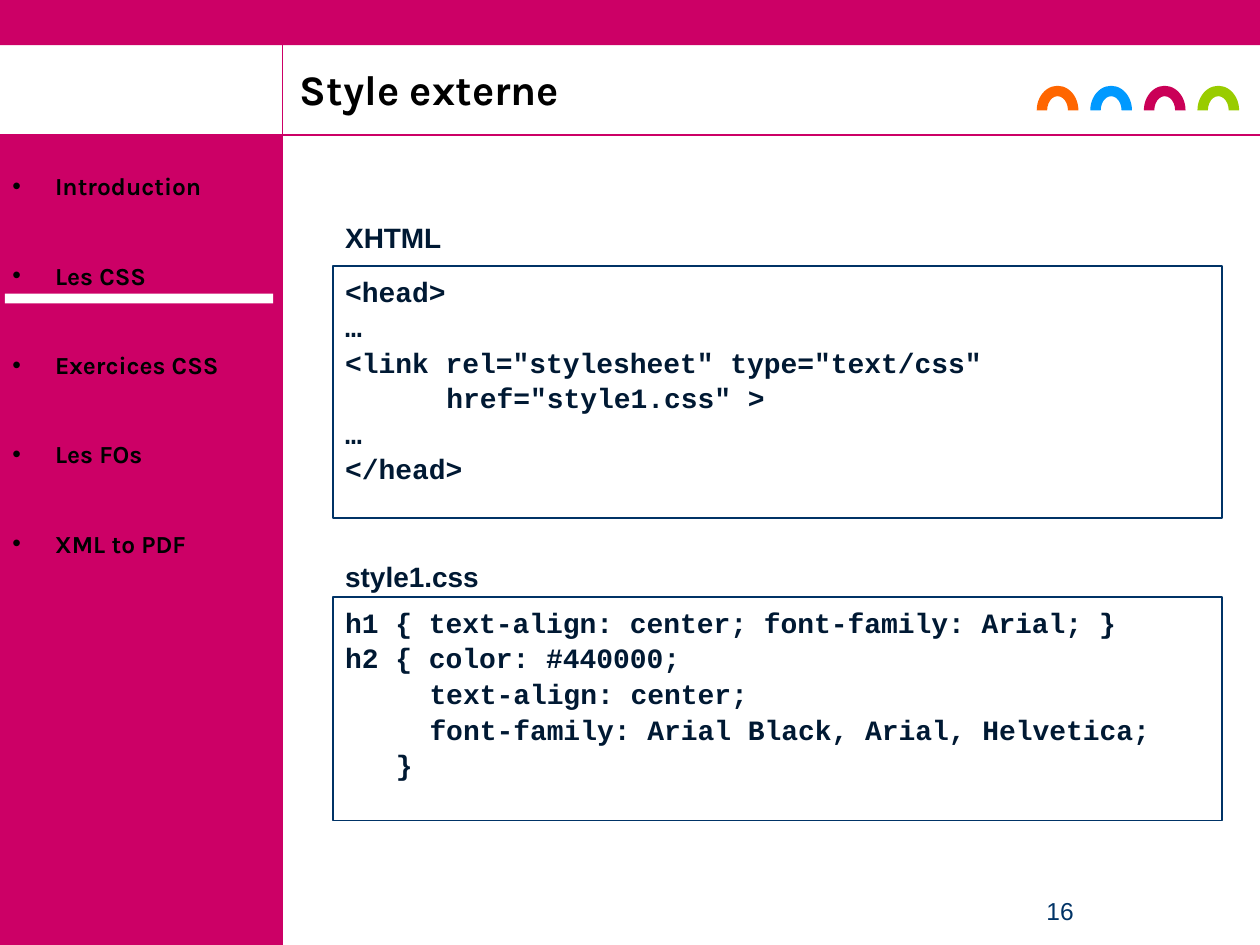
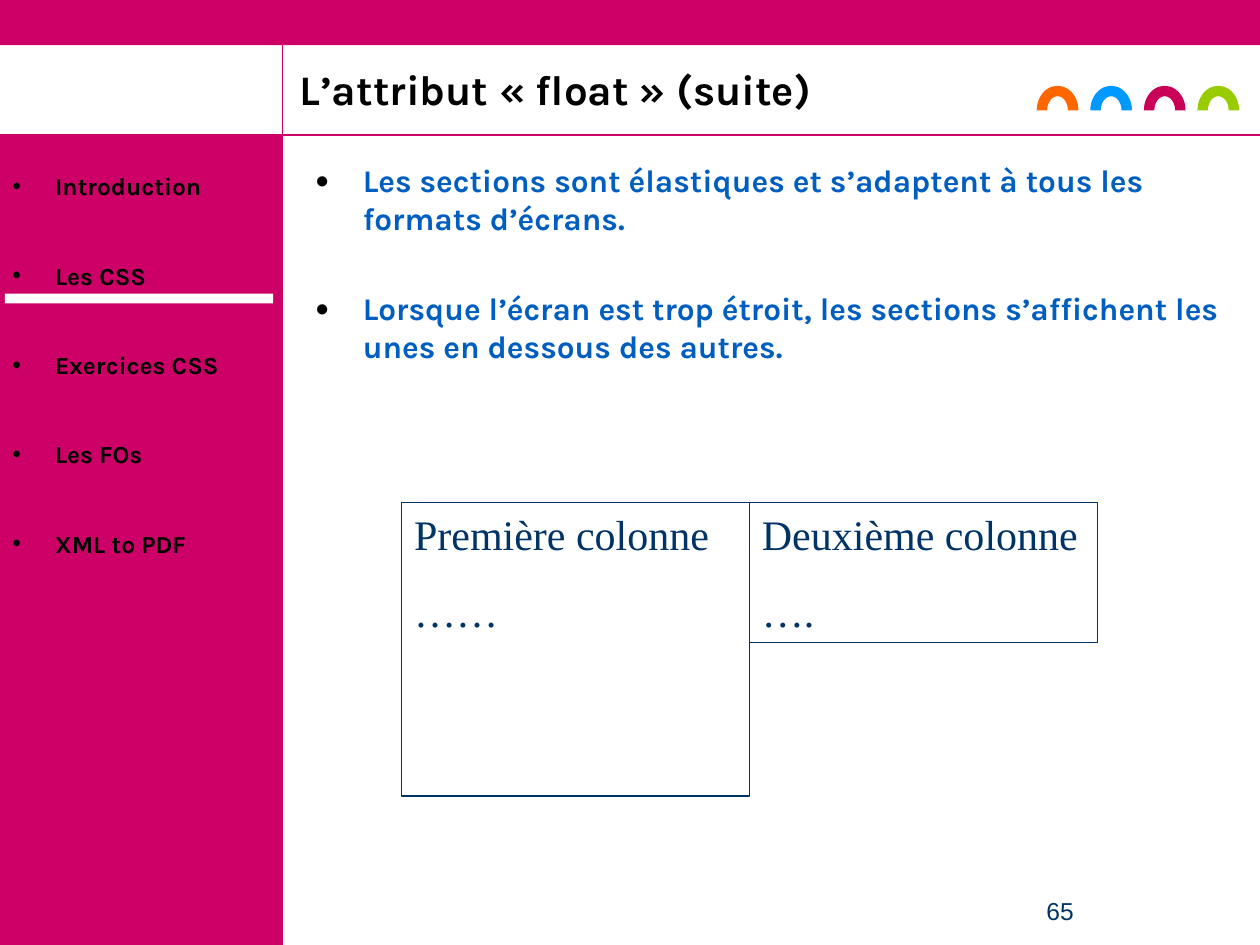
"""Build two course slides on CSS with a shared magenta frame."""
from lxml.etree import SubElement
from pptx import Presentation
from pptx.dml.color import RGBColor
from pptx.enum.shapes import MSO_CONNECTOR, MSO_SHAPE
from pptx.enum.text import MSO_ANCHOR, MSO_AUTO_SIZE, PP_ALIGN
from pptx.oxml.ns import qn
from pptx.util import Cm, Pt

MAGENTA, NAVY, DARK_NAVY = "CC0066", "003366", "001933"
BLUE, BLACK, WHITE = "005EC0", "000000", "FFFFFF"
ARCH_COLORS = ["FF6600", "0099FF", "CA0057", "99CC00"]
CHAPTERS = ["Introduction", "Les CSS", "Exercices CSS", "Les FOs", "XML to PDF"]
TITLE_ONLY, TITLE_AND_BODY = 5, 1
SIDEBAR_WIDTH, HEADER_BOTTOM = 5.69, 2.72
PAGE_WIDTH, PAGE_HEIGHT = 25.4, 19.05
CODE_LEFT, CODE_WIDTH = 6.71, 17.93
CODE_CHARACTER = 0.34
COLUMN_LEFT, COLUMN_TOP, COLUMN_WIDTH = 8.1, 10.13, 7.01


def color(value):
    return RGBColor.from_string(value)


class Deck:
    def __init__(self):
        self.presentation = Presentation()
        self.presentation.slide_width = Cm(PAGE_WIDTH)
        self.presentation.slide_height = Cm(PAGE_HEIGHT)
        self.slide = None

    def start_slide(self, layout, title, number):
        self.slide = self.presentation.slides.add_slide(
            self.presentation.slide_layouts[layout])
        self.frame()
        self.menu()
        self.title(title)
        frame = self.label(str(number), 19.91, 17.93, 2.92, 1.12, 14, NAVY, False)
        frame.paragraphs[0].alignment = PP_ALIGN.CENTER

    def frame(self):
        self.shape(0, HEADER_BOTTOM, SIDEBAR_WIDTH, PAGE_HEIGHT - HEADER_BOTTOM, MAGENTA)
        self.shape(0, 0, PAGE_WIDTH, 0.91, MAGENTA)
        self.line(0, HEADER_BOTTOM, PAGE_WIDTH, HEADER_BOTTOM)
        self.line(SIDEBAR_WIDTH, PAGE_HEIGHT, SIDEBAR_WIDTH, 0)
        for index, fill in enumerate(ARCH_COLORS):
            self.shape(20.9 + index * 1.08, 1.73, 0.84, 0.99, fill,
                       kind=MSO_SHAPE.BLOCK_ARC)

    def menu(self):
        frame = self.text_box(0, 3.33, 5.89, 9.3)
        self.add_lines(frame, CHAPTERS, 14, "Karla", BLACK, True, gap=34.2)
        for paragraph in frame.paragraphs:
            self.bullet(paragraph, "•", 0.86)

    def title(self, text):
        title = self.slide.shapes.title
        self.place(title, 5.79, 1.22, 18.62, 1.22)
        frame = title.text_frame
        self.prepare(frame, MSO_ANCHOR.BOTTOM)
        self.add_lines(frame, [text], 24, "Karla", BLACK, True)
        frame.paragraphs[0].line_spacing = 0.9

    def body(self, lines):
        body = self.slide.placeholders[1]
        self.place(body, 6.1, 3.12, 18.8, 15.93)
        self.prepare(body.text_frame)
        self.add_lines(body.text_frame, lines, 18, "Karla", BLUE, True, gap=30)
        for paragraph in body.text_frame.paragraphs:
            self.bullet(paragraph, "●", 0.96, 75)

    def label(self, text, left, top, width, height, size, ink, bold):
        frame = self.text_box(left, top, width, height)
        self.add_lines(frame, [text], size, "Arial", ink, bold)
        return frame

    def code(self, caption, caption_top, top, height, lines):
        shape = self.shape(CODE_LEFT, top, CODE_WIDTH, height, outline=NAVY, weight=1)
        self.add_lines(shape.text_frame, [text for _, text in lines], 16,
                       "Courier New", DARK_NAVY, True)
        for paragraph, (indent, _) in zip(shape.text_frame.paragraphs, lines):
            paragraph.line_spacing = 1.06
            paragraph._p.get_or_add_pPr().set("marL", str(Cm(indent * CODE_CHARACTER)))
        self.label(caption, CODE_LEFT, caption_top, 3.84, 0.94, 16, DARK_NAVY, True)

    def column(self, index, height, lines):
        shape = self.shape(COLUMN_LEFT + index * COLUMN_WIDTH, COLUMN_TOP,
                           COLUMN_WIDTH, height, outline=NAVY, weight=0.75)
        self.add_lines(shape.text_frame, lines, 24, "Times New Roman", NAVY, gap=15)

    def chapter_marker(self):
        self.shape(0.1, 5.92, 5.41, 0.2, WHITE)

    def shape(self, left, top, width, height, fill=None, outline=None, weight=1,
              kind=MSO_SHAPE.RECTANGLE):
        shape = self.slide.shapes.add_shape(kind, Cm(left), Cm(top), Cm(width), Cm(height))
        shape.shadow.inherit = False
        if fill:
            shape.fill.solid()
            shape.fill.fore_color.rgb = color(fill)
        else:
            shape.fill.background()
        if outline:
            shape.line.color.rgb = color(outline)
            shape.line.width = Pt(weight)
        else:
            shape.line.fill.background()
        self.prepare(shape.text_frame)
        return shape

    def line(self, start_x, start_y, end_x, end_y):
        connector = self.slide.shapes.add_connector(
            MSO_CONNECTOR.STRAIGHT, Cm(start_x), Cm(start_y), Cm(end_x), Cm(end_y))
        connector.line.color.rgb = color(MAGENTA)
        connector.line.width = Pt(0.75)
        SubElement(connector._element.spPr, qn("a:effectLst"))

    def text_box(self, left, top, width, height):
        box = self.slide.shapes.add_textbox(Cm(left), Cm(top), Cm(width), Cm(height))
        self.prepare(box.text_frame)
        return box.text_frame

    def place(self, shape, left, top, width, height):
        shape.left, shape.top = Cm(left), Cm(top)
        shape.width, shape.height = Cm(width), Cm(height)

    def prepare(self, frame, anchor=MSO_ANCHOR.TOP):
        frame.word_wrap = True
        frame.auto_size = MSO_AUTO_SIZE.NONE
        frame.vertical_anchor = anchor

    def add_lines(self, frame, lines, size, font, ink, bold=False, gap=0):
        for index, text in enumerate(lines):
            paragraph = frame.add_paragraph() if index else frame.paragraphs[0]
            paragraph.alignment = PP_ALIGN.LEFT
            paragraph.space_before = Pt(gap if index else 0)
            run = paragraph.add_run()
            run.text = text
            run.font.size = Pt(size)
            run.font.name = font
            run.font.bold = bold
            run.font.color.rgb = color(ink)

    def bullet(self, paragraph, character, indent, percent=100):
        properties = paragraph._p.get_or_add_pPr()
        properties.set("marL", str(Cm(indent)))
        properties.set("indent", str(-Cm(indent)))
        bullet_color = SubElement(properties, qn("a:buClr"))
        SubElement(bullet_color, qn("a:srgbClr"), val=BLACK)
        SubElement(properties, qn("a:buSzPct"), val=str(percent * 1000))
        SubElement(properties, qn("a:buFont"), typeface="Arial")
        SubElement(properties, qn("a:buChar"), char=character)


def main():
    deck = Deck()

    deck.start_slide(TITLE_ONLY, "Style externe", 16)
    deck.code("style1.css", 11.15, 12.04, 4.5, [
        (0, "h1 { text-align: center; font-family: Arial; }"),
        (0, "h2 { color: #440000;"),
        (5, "text-align: center;"),
        (5, "font-family: Arial Black, Arial, Helvetica;"),
        (3, "}"),
    ])
    deck.code("XHTML", 4.32, 5.36, 5.08, [
        (0, "<head>"),
        (0, "…"),
        (0, '<link rel="stylesheet" type="text/css"'),
        (6, 'href="style1.css" >'),
        (0, "…"),
        (0, "</head>"),
    ])
    deck.chapter_marker()

    deck.start_slide(TITLE_AND_BODY, "L’attribut « float » (suite)", 65)
    deck.body([
        "Les sections sont élastiques et s’adaptent à tous les formats d’écrans.",
        "Lorsque l’écran est trop étroit, les sections s’affichent les unes en "
        "dessous des autres.",
    ])
    deck.column(0, 5.92, ["Première colonne", "……"])
    deck.column(1, 2.82, ["Deuxième colonne", "…."])
    deck.chapter_marker()

    deck.presentation.save("out.pptx")


if __name__ == "__main__":
    main()
